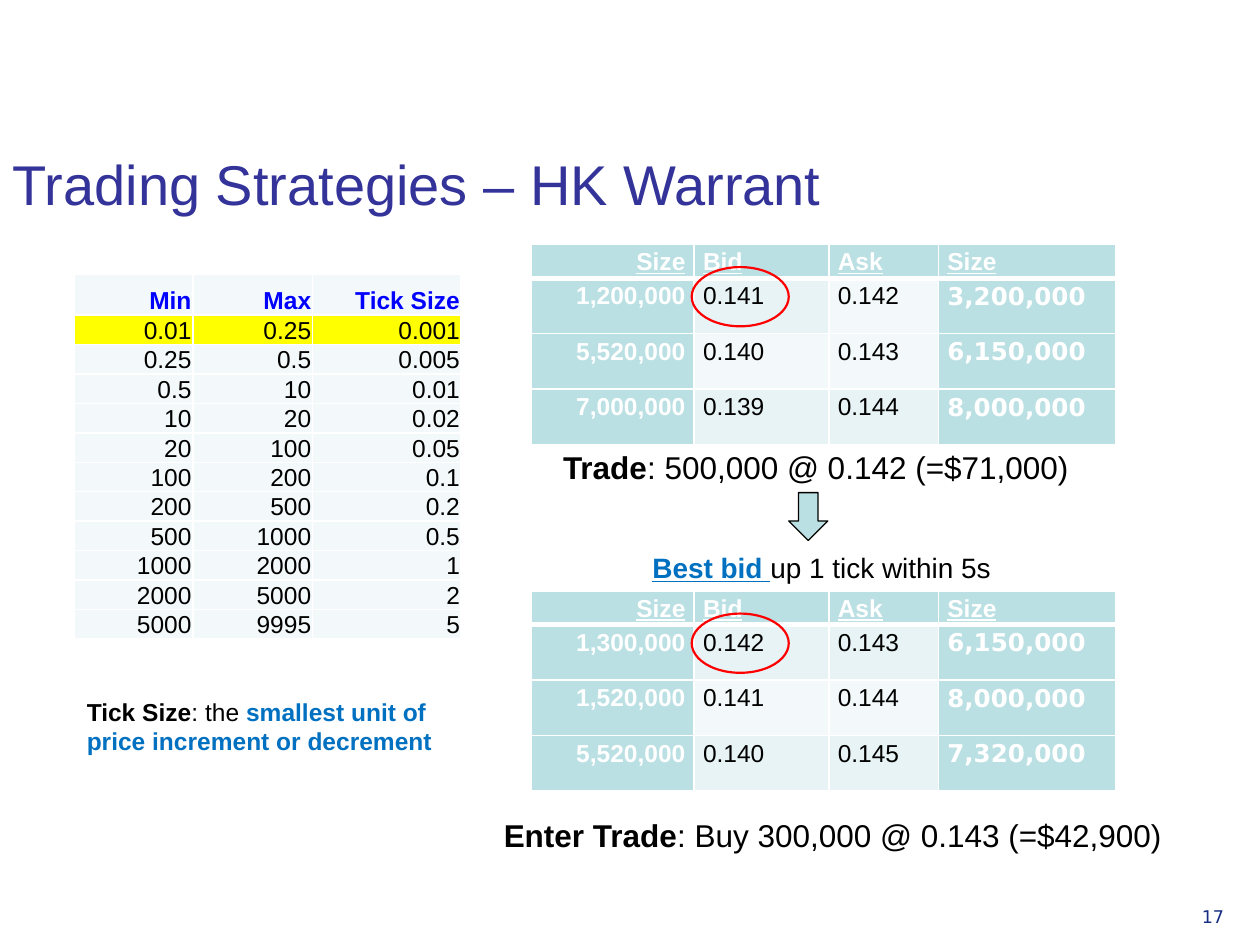
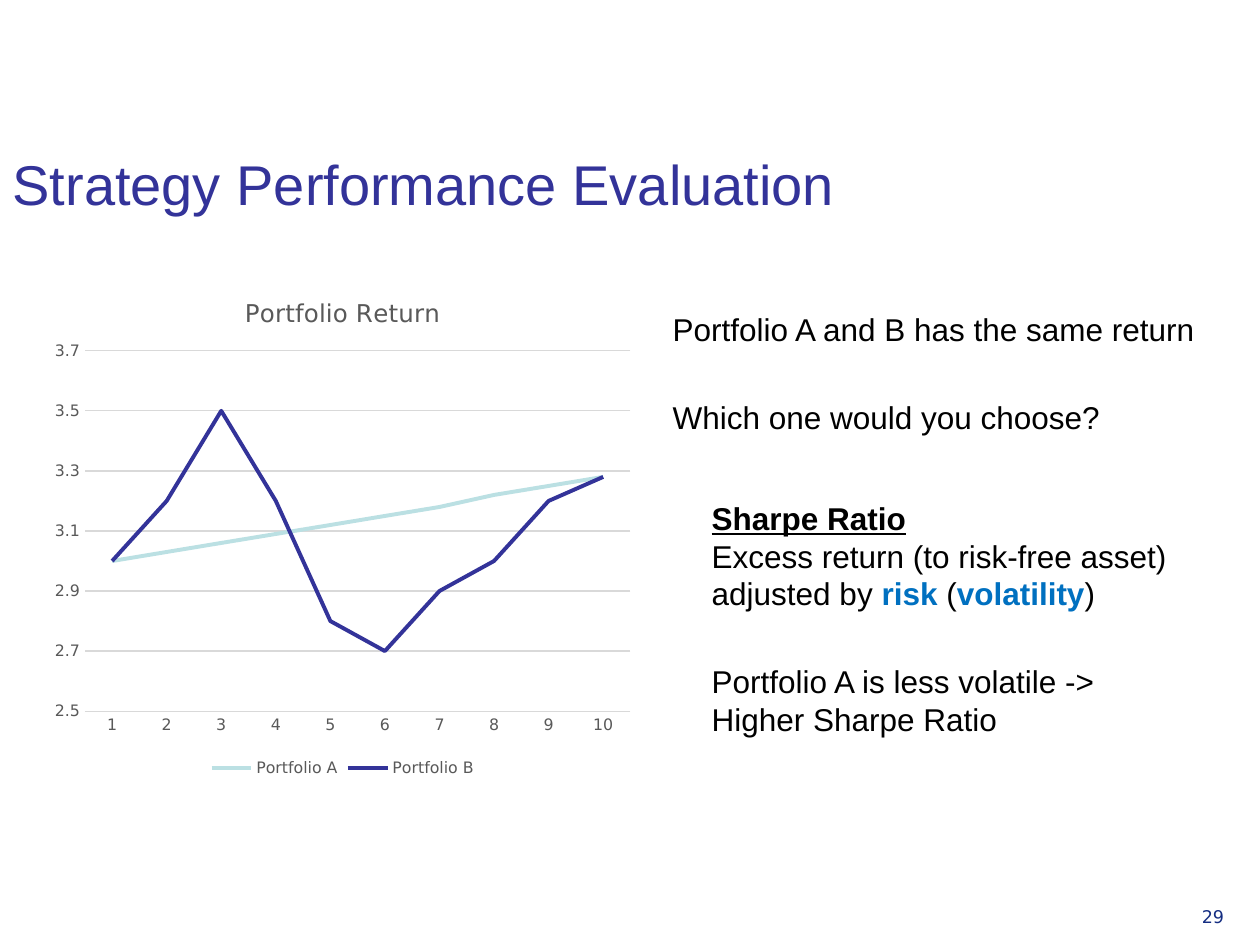
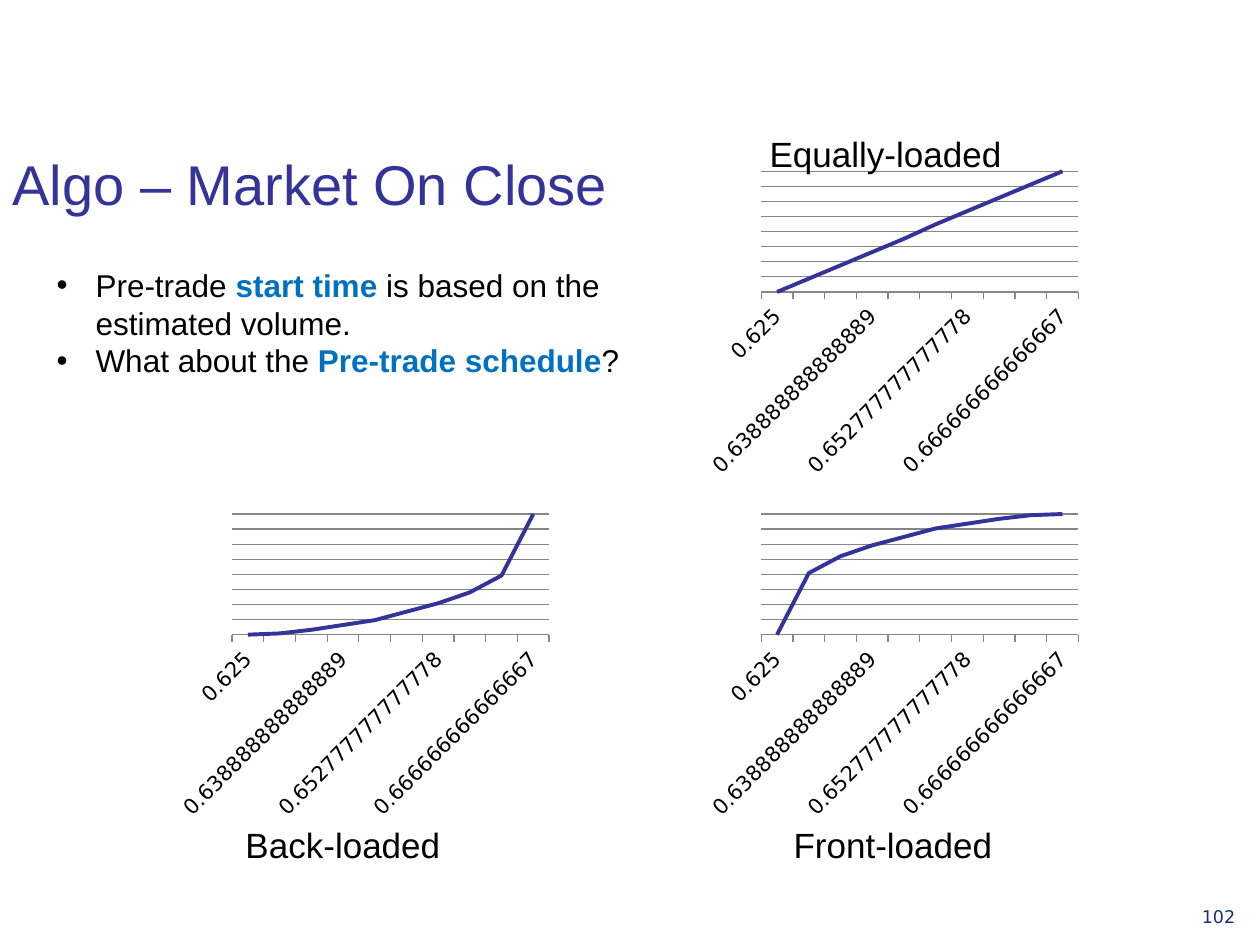
from lxml import etree
from pptx import Presentation
from pptx.chart.data import CategoryChartData
from pptx.dml.color import RGBColor
from pptx.enum.chart import XL_CHART_TYPE, XL_LEGEND_POSITION, XL_MARKER_STYLE, XL_TICK_MARK
from pptx.enum.shapes import MSO_SHAPE
from pptx.enum.text import MSO_ANCHOR, PP_ALIGN
from pptx.oxml.ns import qn
from pptx.util import Inches, Pt

LINE = XL_CHART_TYPE.LINE
LEGEND_BOTTOM = XL_LEGEND_POSITION.BOTTOM
NO_MARKER = XL_MARKER_STYLE.NONE
TICK_NONE, TICK_OUT = XL_TICK_MARK.NONE, XL_TICK_MARK.OUTSIDE
OVAL, DOWN_ARROW = MSO_SHAPE.OVAL, MSO_SHAPE.DOWN_ARROW
TOP, BOTTOM = MSO_ANCHOR.TOP, MSO_ANCHOR.BOTTOM
LEFT, RIGHT = PP_ALIGN.LEFT, PP_ALIGN.RIGHT

SANS, UI = "Arial", "DejaVu Sans"
BLACK, WHITE, RED, YELLOW = "000000", "FFFFFF", "FF0000", "FFFF00"
NAVY, NUMBER_BLUE, HEAD_BLUE, ACCENT = "333399", "152E82", "0000FF", "0070C0"
TEAL, BAND, PALE = "BBE0E3", "E7F3F4", "F3F9FA"
GREY, GRID, AXIS = "595959", "D9D9D9", "868686"

BOLD = {"bold": True}
KEY = {"bold": True, "color": ACCENT}


def rgb(value):
    return RGBColor.from_string(value)


def inches(box):
    return [Inches(v) for v in box]


def style_font(font, size, color=BLACK, name=SANS, bold=False, underline=False):
    font.size, font.name = Pt(size), name
    font.bold, font.underline = bold, underline
    font.color.rgb = rgb(color)


def write(p, runs, **style):
    """Fill a paragraph from a string or (text, format) pairs; a newline breaks the line."""
    for text, extra in [(runs, {})] if isinstance(runs, str) else runs:
        for i, line in enumerate(text.split("\n")):
            if i:
                p.add_line_break()
            if line:
                r = p.add_run()
                r.text = line
                style_font(r.font, **{**style, **extra})


def add_bullet(p, indent):
    pPr = p._p.get_or_add_pPr()
    pPr.set("marL", str(Inches(indent)))
    pPr.set("indent", str(Inches(-indent)))
    etree.SubElement(pPr, qn("a:buFont")).set("typeface", SANS)
    etree.SubElement(pPr, qn("a:buChar")).set("char", "•")


def add_text(slide, box, paragraphs, wrap=True, gap=0, bullet=False, **style):
    tf = slide.shapes.add_textbox(*inches(box)).text_frame
    tf.word_wrap = wrap
    for i, runs in enumerate(paragraphs):
        p = tf.add_paragraph() if i else tf.paragraphs[0]
        if bullet:
            add_bullet(p, 0.31)
        if i and gap:
            p.space_before = Pt(gap)
        write(p, runs, **style)


def add_shape(slide, kind, box, line, width, fill=None):
    sp = slide.shapes.add_shape(kind, *inches(box))
    sp.shadow.inherit = False
    if fill:
        sp.fill.solid()
        sp.fill.fore_color.rgb = rgb(fill)
    else:
        sp.fill.background()
    sp.line.color.rgb = rgb(line)
    sp.line.width = Pt(width)


def add_slide(prs, title, number):
    slide = prs.slides.add_slide(prs.slide_layouts[5])
    sp = slide.shapes.title
    sp.left, sp.top, sp.width, sp.height = inches((0, 0.68, 8.83, 1.09))
    tf = sp.text_frame
    tf.vertical_anchor = BOTTOM
    tf.paragraphs[0].alignment = LEFT
    write(tf.paragraphs[0], title, size=32, color=NAVY)
    add_text(slide, (9.44, 7.14, 0.55, 0.39), [number], size=10, color=NUMBER_BLUE, name=UI)
    return slide


# Tables

def add_grid(slide, left, top, cols, rows):
    table = slide.shapes.add_table(len(rows), len(cols),
                                   *inches((left, top, sum(cols), sum(rows)))).table
    for col, width in zip(table.columns, cols):
        col.width = Inches(width)
    for row, height in zip(table.rows, rows):
        row.height = Inches(height)
    return table


def fill_cell(cell, text, fill, margins, anchor=TOP, align=LEFT, spacing=None,
              top=1, bottom=1, **style):
    """Write one cell with white borders; top and bottom are border widths in points."""
    tcPr = cell._tc.get_or_add_tcPr()
    for side, width in zip("LRTB", (1, 1, top, bottom)):
        ln = etree.SubElement(tcPr, qn("a:ln" + side), w=str(Pt(width)))
        solid = etree.SubElement(ln, qn("a:solidFill"))
        etree.SubElement(solid, qn("a:srgbClr")).set("val", WHITE)
    cell.fill.solid()
    cell.fill.fore_color.rgb = rgb(fill)
    cell.margin_left, cell.margin_top, cell.margin_right, cell.margin_bottom = inches(margins)
    cell.vertical_anchor = anchor
    p = cell.text_frame.paragraphs[0]
    p.alignment = align
    if spacing:
        p.line_spacing = spacing
    write(p, text, size=14, **style)


def tick_size_table(slide, left, top):
    rows = [("Min", "Max", "Tick Size"), ("0.01", "0.25", "0.001"), ("0.25", "0.5", "0.005"),
            ("0.5", "10", "0.01"), ("10", "20", "0.02"), ("20", "100", "0.05"),
            ("100", "200", "0.1"), ("200", "500", "0.2"), ("500", "1000", "0.5"),
            ("1000", "2000", "1"), ("2000", "5000", "2"), ("5000", "9995", "5")]
    table = add_grid(slide, left, top, (0.94, 0.95, 1.18), [0.32] + [0.21] * 11)
    for i, row in enumerate(rows):
        for j, text in enumerate(row):
            fill_cell(table.cell(i, j), text, YELLOW if i == 1 else PALE,
                      (0.01, 0, 0.01, 0), anchor=BOTTOM, align=RIGHT,
                      color=BLACK if i else HEAD_BLUE, bold=i == 0)


def order_book(slide, left, top, quotes, pale_cells=()):
    """Bid and ask table with the best bid circled."""
    table = add_grid(slide, left, top, (1.29, 1.07, 0.87, 1.41), [0.22] + [0.44] * 3)
    for i, row in enumerate([("Size", "Bid", "Ask", "Size")] + quotes):
        for j, text in enumerate(row):
            price = i > 0 and j in (1, 2)
            band = PALE if i == 2 or (i, j) in pale_cells else BAND
            fill_cell(table.cell(i, j), text, band if price else TEAL, (0.07, 0, 0.07, 0),
                      align=LEFT if j else RIGHT, spacing=1.15,
                      top=3 if i == 1 else 1, bottom=1 if i else 3,
                      color=BLACK if price else WHITE, bold=not price, underline=i == 0,
                      name=UI if i and j == 3 else SANS)
    add_shape(slide, OVAL, (left + 1.27, top + 0.18, 0.77, 0.47), RED, 1.25)


# Charts

def set_plot_area(chart, box):
    """Fix the inner plot area as fractions of the chart."""
    area = chart._chartSpace.chart.plotArea
    layout = area.find(qn("c:layout"))
    if layout is None:
        layout = etree.Element(qn("c:layout"))
        area.insert(0, layout)
    manual = etree.SubElement(layout, qn("c:manualLayout"))
    values = [("layoutTarget", "inner"), ("xMode", "edge"), ("yMode", "edge")]
    for tag, value in values + list(zip("xywh", box)):
        etree.SubElement(manual, qn("c:" + tag)).set("val", str(value))


def line_chart(slide, box, cats, series, plot_area, scale, grid, axis_color, label):
    """Add a line chart; series holds (name, values, colour), scale is min, max, step."""
    data = CategoryChartData()
    data.categories = cats
    for name, values, _ in series:
        data.add_series(name, values)
    chart = slide.shapes.add_chart(LINE, *inches(box), data).chart
    style_font(chart.font, 10, name=UI)
    chart.has_title = chart.has_legend = False
    for s, (_, _, color) in zip(chart.plots[0].series, series):
        s.smooth = False
        s.marker.style = NO_MARKER
        s.format.line.color.rgb = rgb(color)
        s.format.line.width = Pt(2.25)
    chart.plots[0].vary_by_categories = False
    x, y = chart.category_axis, chart.value_axis
    y.minimum_scale, y.maximum_scale, y.major_unit = scale
    y.major_tick_mark = TICK_NONE
    y.has_major_gridlines = True
    y.major_gridlines.format.line.color.rgb = rgb(grid)
    y.major_gridlines.format.line.width = Pt(0.75)
    y.format.line.fill.background()
    x.format.line.color.rgb = rgb(axis_color)
    x.format.line.width = Pt(0.75)
    for axis in (x, y):
        style_font(axis.tick_labels.font, name=UI, **label)
    set_plot_area(chart, plot_area)
    return chart


def portfolio_chart(slide, box):
    series = [("Portfolio A", (3, 3.03, 3.06, 3.09, 3.12, 3.15, 3.18, 3.22, 3.25, 3.28), TEAL),
              ("Portfolio B", (3, 3.2, 3.5, 3.2, 2.8, 2.7, 2.9, 3, 3.2, 3.28), NAVY)]
    label = {"size": 9, "color": GREY}
    chart = line_chart(slide, box, [str(n) for n in range(1, 11)], series,
                       (0.07, 0.15, 0.91, 0.71), (2.5, 3.7, 0.2), GRID, GRID, label)
    chart.category_axis.major_tick_mark = TICK_NONE
    chart.value_axis.tick_labels.number_format = "0.0"
    chart.value_axis.tick_labels.number_format_is_linked = False
    chart.has_title = True
    write(chart.chart_title.text_frame.paragraphs[0], "Portfolio Return",
          size=14, color=GREY, name=UI)
    chart.chart_title.include_in_layout = False
    chart.has_legend = True
    chart.legend.position = LEGEND_BOTTOM
    chart.legend.include_in_layout = False
    style_font(chart.legend.font, name=UI, **label)


def schedule_chart(slide, left, top, values):
    """Line chart whose numeric categories are set at every third point only."""
    cats = [""] * 10
    cats[::3] = [0.625, 0.638888888888889, 0.652777777777778, 0.666666666666667]
    chart = line_chart(slide, (left, top, 3.07, 2.52), cats, [("Series 1", values, NAVY)],
                       (0.16, 0.02, 0.82, 0.38), (0, 100, 12.5), AXIS, AXIS, {"size": 12})
    for cat in chart._chartSpace.iter(qn("c:cat")):
        for pt in list(cat.iter(qn("c:pt"))):
            if not pt.find(qn("c:v")).text:
                pt.getparent().remove(pt)
    chart.value_axis.visible = False
    x = chart.category_axis
    x.major_tick_mark = TICK_OUT
    x._element.find(qn("c:txPr")).find(qn("a:bodyPr")).set("rot", "-2700000")


# Slides

def warrant_slide(prs):
    slide = add_slide(prs, "Trading Strategies – HK Warrant", "17")
    tick_size_table(slide, 0.59, 2.18)
    add_text(slide, (0.59, 5.48, 3.31, 0.57),
             [[("Tick Size", BOLD), (": the ", {}),
               ("smallest unit of price increment or decrement", KEY)]], size=14)
    order_book(slide, 4.22, 1.94, [("1,200,000", "0.141", "0.142", "3,200,000"),
                                   ("5,520,000", "0.140", "0.143", "6,150,000"),
                                   ("7,000,000", "0.139", "0.144", "8,000,000")], [(1, 2)])
    order_book(slide, 4.22, 4.69, [("1,300,000", "0.142", "0.143", "6,150,000"),
                                   ("1,520,000", "0.141", "0.144", "8,000,000"),
                                   ("5,520,000", "0.140", "0.145", "7,320,000")])
    add_shape(slide, DOWN_ARROW, (6.26, 3.91, 0.31, 0.38), BLACK, 0.75, TEAL)
    add_text(slide, (5.08, 4.32, 2.92, 0.37),
             [[("Best bid ", {**KEY, "underline": True}), ("up 1 tick within 5s", {})]],
             wrap=False, size=16)
    add_text(slide, (4.37, 3.51, 4.41, 0.4),
             [[("Trade", BOLD), (": 500,000 @ 0.142 (=$71,000)", {})]], size=18)
    add_text(slide, (3.9, 6.43, 5.47, 0.4),
             [[("Enter Trade", BOLD), (": Buy 300,000 @ 0.143 (=$42,900)", {})]],
             wrap=False, size=18)


def performance_slide(prs):
    slide = add_slide(prs, "Strategy Performance Evaluation", "29")
    add_text(slide, (5.24, 2.41, 4.44, 1.33),
             ["Portfolio A and B has the same return", "Which one would you choose?"],
             gap=29, size=18)
    add_text(slide, (5.55, 3.91, 4.09, 2.02),
             [[("Sharpe Ratio\n", {"bold": True, "underline": True}),
               ("Excess return (to risk-free asset)\nadjusted by ", {}), ("risk", KEY),
               (" (", {}), ("volatility", KEY), (")", {})],
              "Portfolio A is less volatile ->\nHigher Sharpe Ratio"], gap=28.5, size=18)
    portfolio_chart(slide, (0.34, 2.18, 4.76, 4.03))


def market_on_close_slide(prs):
    slide = add_slide(prs, "Algo – Market On Close", "102")
    add_text(slide, (0.35, 2.06, 5.35, 1.01),
             [[("Pre-trade ", {}), ("start time ", KEY),
               ("is based on the estimated volume.", {})],
              [("What about the ", {}), ("Pre-trade schedule", KEY), ("?", {})]],
             bullet=True, size=18)
    schedule_chart(slide, 1.35, 4.03, (0, 1, 4, 8, 12, 19, 26, 35, 49, 100))
    schedule_chart(slide, 5.55, 4.03, (0, 51, 65, 74, 81, 88, 92, 96, 99, 100))
    schedule_chart(slide, 5.55, 1.31, (0, 11, 22, 33, 44, 56, 67, 78, 89, 100))
    for text, box in (("Equally-loaded", (6.01, 1, 2.06, 0.77)),
                      ("Back-loaded", (1.85, 6.49, 1.76, 0.44)),
                      ("Front-loaded", (6.2, 6.49, 1.79, 0.44))):
        add_text(slide, box, [text], wrap=False, size=20)


def main():
    prs = Presentation()
    prs.slide_width, prs.slide_height = Inches(10), Inches(7.5)
    warrant_slide(prs)
    performance_slide(prs)
    market_on_close_slide(prs)
    prs.save("out.pptx")


if __name__ == "__main__":
    main()
